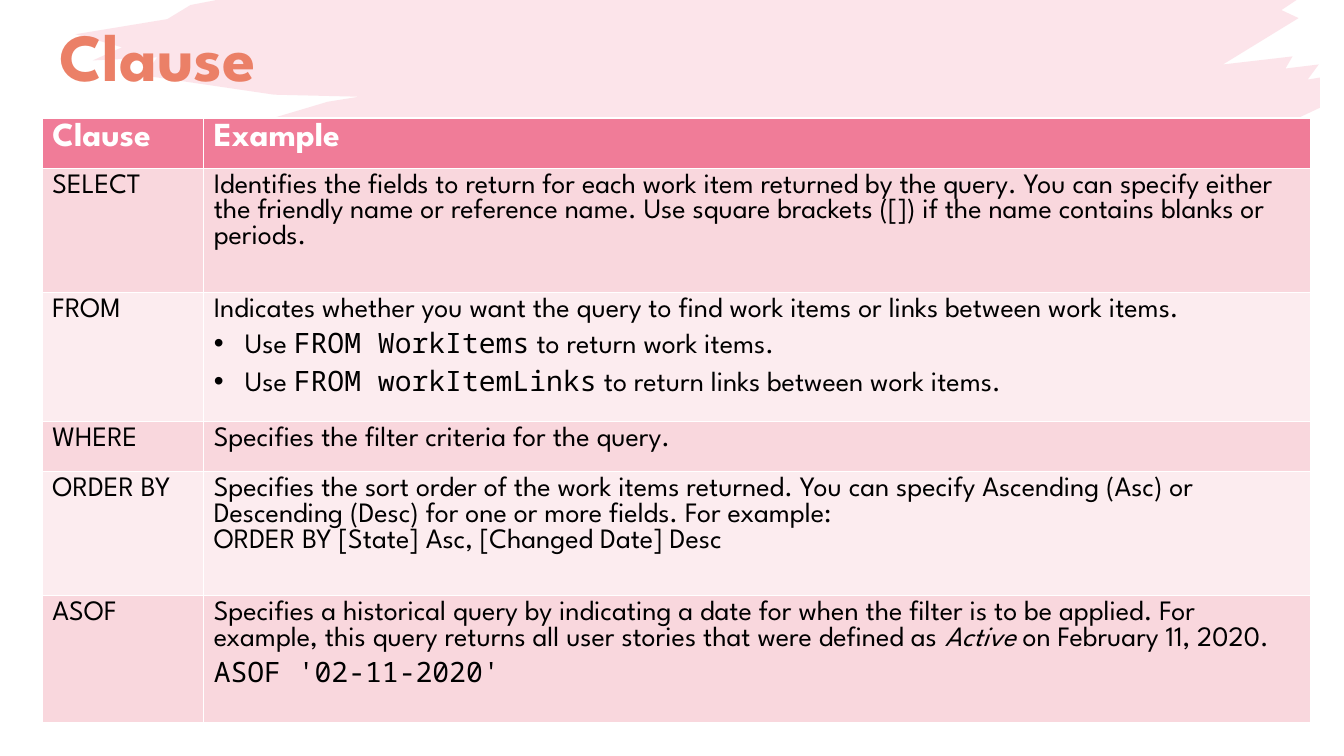
from lxml import etree
from pptx import Presentation
from pptx import util as u
from pptx.dml import color
from pptx.enum import text
from pptx.oxml import ns

PX = 9144
SANS, MONO = "League Spartan", "Noto Sans Mono"
PINK, CORAL, WHITE, BLACK = "F07C98", "EB8067", "FFFFFF", "000000"
BANDS = ["F9D7DD", "FCECEF"]
COLS = [160, 1098]
ROWS = [50, 123, 128, 50, 123, 126]

BRUSH = [
    (140, 0), (1211, 0), (1196, 10), (1213, 18), (1138, 64), (1207, 56),
    (1200, 68), (1233, 64), (1222, 79), (1234, 77), (1234, 107),
    (900, 265), (443, 320), (353, 303), (469, 255), (267, 255), (117, 217),
    (192, 151), (79, 152), (250, 101), (281, 96), (197, 94), (68, 75),
    (81, 57), (17, 60), (46, 47), (0, 34), (91, 19), (114, 5),
]

CLAUSES = [
    ("SELECT", [[("Identifies the fields to return for each work item returned by the query. "
                  "You can specify either the friendly name or reference name. Use square "
                  "brackets ([]) if the name contains blanks or periods.", "")]]),
    ("FROM", [
        [("Indicates whether you want the query to find work items or links between "
          "work items.", "")],
        [("Use ", "bullet"), ("FROM WorkItems", "mono"), (" to return work items.", "")],
        [("Use ", "bullet"), ("FROM workItemLinks", "mono"),
         (" to return links between work items.", "")]]),
    ("WHERE", [[("Specifies the filter criteria for the query.", "")]]),
    ("ORDER BY", [[("Specifies the sort order of the work items returned. You can specify "
                    "Ascending (Asc) or Descending (Desc) for one or more fields. "
                    "For example:", ""), ("", "break"),
                   ("ORDER BY [State] Asc, [Changed Date] Desc", "")]]),
    ("ASOF", [[("Specifies a historical query by indicating a date for when the filter is "
                "to be applied. For example, this query returns all user stories that were "
                "defined as ", ""), ("Active", "italic"), (" on February 11, 2020. ", ""),
               ("ASOF '02-11-2020'", "mono")]]),
]


def px(n):
    return u.Emu(n * PX)


def paint(fill, hex_color):
    fill.solid()
    fill.fore_color.rgb = color.RGBColor.from_string(hex_color)


def style(r, size, hex_color, bold=False, face=SANS):
    r.font.size = u.Pt(size)
    r.font.name = face
    r.font.bold = bold
    paint(r.font.fill, hex_color)


def add_bullet(p):
    pPr = p._p.get_or_add_pPr()
    pPr.set("marL", str(px(31)))
    pPr.set("indent", str(px(-31)))
    etree.SubElement(pPr, ns.qn("a:buFont"), typeface="Arial")
    etree.SubElement(pPr, ns.qn("a:buChar"), char="•")


def add_brush(s, x, y):
    first, *rest = [(x + a, y + b) for a, b in BRUSH]
    fb = s.shapes.build_freeform(*first, scale=PX)
    fb.add_line_segments(rest)
    sp = fb.convert_to_shape()
    sp.shadow.inherit = False
    sp.line.fill.background()
    paint(sp.fill, PINK)
    clr = sp._element.spPr.find(".//" + ns.qn("a:srgbClr"))
    etree.SubElement(clr, ns.qn("a:alpha"), val="20000")


def add_title(s, x, y, w, h):
    tf = s.shapes.add_textbox(px(x), px(y), px(w), px(h)).text_frame
    tf.word_wrap = True
    tf.vertical_anchor = text.MSO_ANCHOR.BOTTOM
    tf.text = "Clause"
    style(tf.paragraphs[0].runs[0], 48, CORAL, True)


def fill_cell(cell, paragraphs, fill, size=20, ink=BLACK, bold=False):
    paint(cell.fill, fill)
    tf = cell.text_frame
    for i, runs in enumerate(paragraphs):
        p = tf.add_paragraph() if i else tf.paragraphs[0]
        for words, kind in runs:
            if kind == "break":
                p.add_line_break()
                continue
            if kind == "bullet":
                add_bullet(p)
            r = p.add_run()
            r.text = words
            style(r, size, ink, bold, MONO if kind == "mono" else SANS)
            if kind == "italic":
                r.font.italic = True


def add_clause_table(s, x, y):
    table = s.shapes.add_table(len(ROWS), len(COLS), px(x), px(y),
                               px(sum(COLS)), px(sum(ROWS))).table
    table.horz_banding = False
    for col, w in zip(table.columns, COLS):
        col.width = px(w)
    for row, h in zip(table.rows, ROWS):
        row.height = px(h)
    for c, heading in enumerate(["Clause", "Example"]):
        fill_cell(table.cell(0, c), [[(heading, "")]], PINK, 24, WHITE, True)
    for i, (clause, example) in enumerate(CLAUSES):
        fill = BANDS[i % 2]
        fill_cell(table.cell(i + 1, 0), [[(clause, "")]], fill)
        fill_cell(table.cell(i + 1, 1), example, fill)


def main():
    prs = Presentation()
    prs.slide_width, prs.slide_height = px(1333), px(750)
    s = prs.slides.add_slide(prs.slide_layouts[6])
    paint(s.background.fill, WHITE)
    add_brush(s, 75, 0)
    add_title(s, 49, 8, 1249, 91)
    add_clause_table(s, 42, 117)
    prs.save("out.pptx")


if __name__ == "__main__":
    main()
